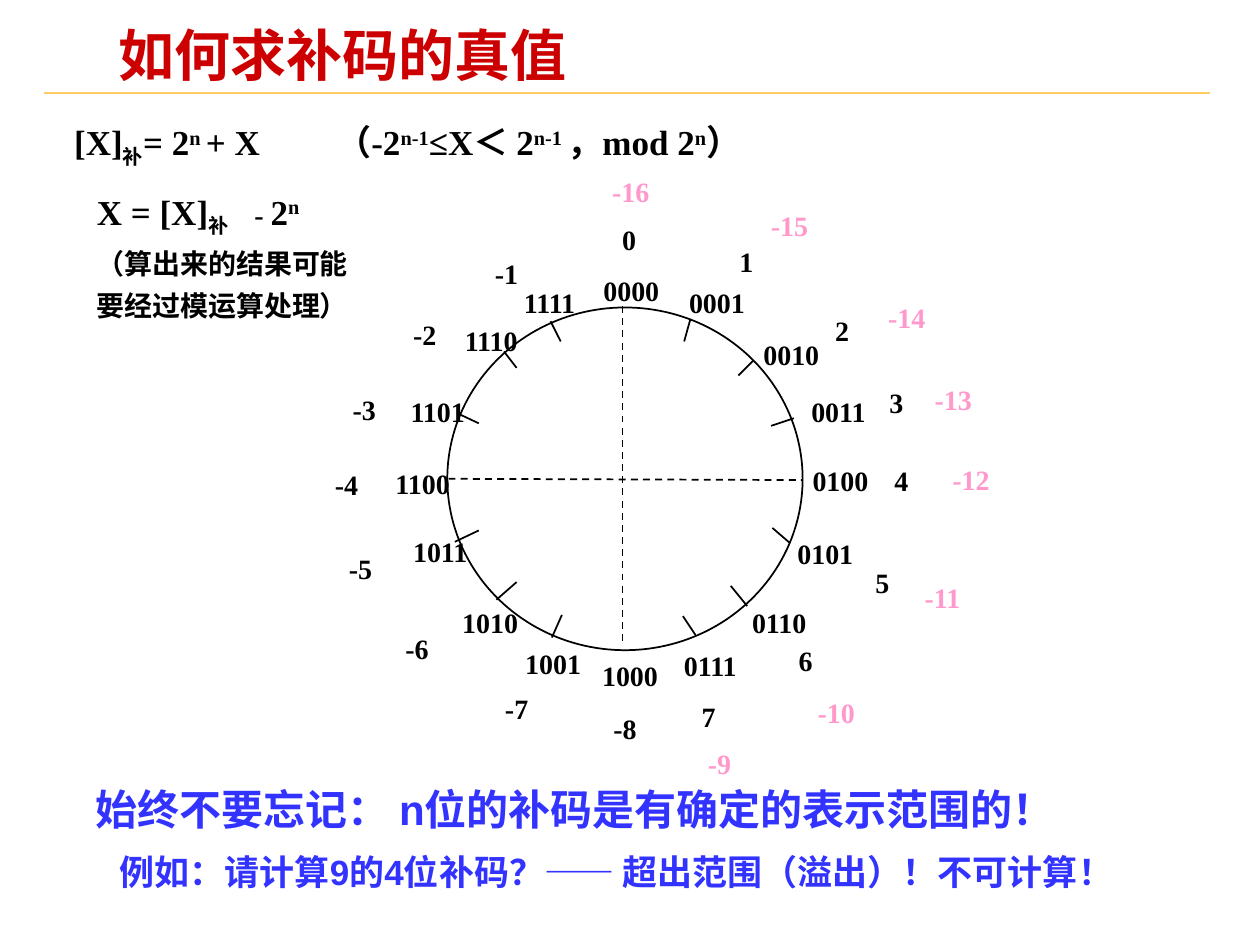
"""Build a slide on recovering the true value of a two's complement code."""
from lxml.etree import SubElement
from pptx import Presentation
from pptx.dml.color import RGBColor
from pptx.enum.dml import MSO_LINE
from pptx.enum.shapes import MSO_CONNECTOR, MSO_SHAPE
from pptx.enum.text import MSO_ANCHOR, MSO_AUTO_SIZE, PP_ALIGN
from pptx.oxml.ns import qn
from pptx.util import Pt

PX = 9144
COLORS = {
    "title": "CC0000",
    "rule": "FFCC66",
    "ink": "000000",
    "alias": "FF99CC",
    "note": "3333FF",
}
SUB, SUP = -25000, 30000


def add_text(box, paragraphs, color, font="Times New Roman"):
    """Add a text box from (size, space before, tab stop, runs) paragraphs."""
    frame = slide.shapes.add_textbox(*(value * PX for value in box)).text_frame
    frame.word_wrap = True
    for index, (size, before, tab, runs) in enumerate(paragraphs):
        paragraph = frame.add_paragraph() if index else frame.paragraphs[0]
        if tab:
            tabs = SubElement(paragraph._p.get_or_add_pPr(), qn("a:tabLst"))
            SubElement(tabs, qn("a:tab"), pos=str(tab * PX), algn="l")
        paragraph.font.size = Pt(size)
        paragraph.font.name = font
        paragraph.font.bold = True
        paragraph.font.color.rgb = RGBColor.from_string(COLORS[color])
        if before:
            paragraph.space_before = Pt(before)
        for text, baseline in runs:
            run = paragraph.add_run()
            run.text = text
            if baseline:
                run._r.get_or_add_rPr().set("baseline", str(baseline))
    return frame


def add_line(ends, color="ink", dashed=False):
    """Add a one-point line between two points."""
    line = slide.shapes.add_connector(
        MSO_CONNECTOR.STRAIGHT, *(value * PX for value in ends))
    line.line.width = Pt(1)
    line.line.color.rgb = RGBColor.from_string(COLORS[color])
    if dashed:
        line.line.dash_style = MSO_LINE.DASH
    SubElement(line._element.spPr, qn("a:effectLst"))


presentation = Presentation()
presentation.slide_width = 1000 * PX
presentation.slide_height = 750 * PX
slide = presentation.slides.add_slide(presentation.slide_layouts[5])

add_line((35, 74, 960, 74), "rule")

title = slide.shapes.title
title.left, title.top, title.width, title.height = (
    value * PX for value in (87, 21, 664, 52))
frame = title.text_frame
frame.text = "如何求补码的真值"
frame.auto_size = MSO_AUTO_SIZE.NONE
frame.vertical_anchor = MSO_ANCHOR.MIDDLE
frame.margin_left = frame.margin_right = 7 * PX
frame.margin_top = frame.margin_bottom = 3 * PX
paragraph = frame.paragraphs[0]
paragraph.alignment = PP_ALIGN.LEFT
paragraph.line_spacing = 0.87
paragraph.font.size = Pt(32)
paragraph.font.name = "Arial"
paragraph.font.bold = True
paragraph.font.color.rgb = RGBColor.from_string(COLORS["title"])

circle = slide.shapes.add_shape(
    MSO_SHAPE.OVAL, *(value * PX for value in (355, 244, 282, 272)))
circle.shadow.inherit = False
circle.fill.background()
circle.line.width = Pt(1)
circle.line.color.rgb = RGBColor.from_string(COLORS["ink"])

for axis in ((356, 380, 637, 381), (494, 243, 494, 513)):
    add_line(axis, dashed=True)

ticks = [
    (543, 271, 548, 253), (586, 298, 598, 286), (612, 338, 630, 332),
    (613, 419, 627, 431), (580, 465, 593, 481), (542, 489, 552, 504),
    (438, 506, 446, 488), (410, 462, 394, 476), (380, 421, 361, 430),
    (380, 336, 363, 328), (400, 279, 410, 292), (437, 255, 445, 271),
]
for tick in ticks:
    add_line(tick)

code_places = {
    0: (469, 212), 1: (537, 222), 2: (596, 263), 3: (634, 308),
    4: (635, 363), 5: (623, 421), 6: (587, 476), 7: (533, 510),
    -8: (468, 518), -7: (407, 508), -6: (357, 476), -5: (318, 419),
    -4: (304, 365), -3: (316, 308), -2: (359, 252), -1: (406, 222),
}
value_places = {
    0: (484, 172), 1: (577, 189), 2: (653, 244), 3: (696, 301),
    4: (700, 363), 5: (685, 444), 6: (624, 506), 7: (547, 550),
    -8: (477, 560), -7: (391, 544), -6: (312, 496), -5: (267, 433),
    -4: (256, 366), -3: (270, 307), -2: (318, 247), -1: (383, 199),
}
alias_places = {
    -16: (476, 134), -15: (602, 161), -14: (695, 234), -13: (732, 299),
    -12: (746, 362), -11: (724, 456), -10: (639, 547), -9: (552, 588),
}
for places, width, pattern, color in (
        (code_places, 65, "04b", "ink"),
        (value_places, 56, "d", "ink"),
        (alias_places, 58, "d", "alias")):
    for value, place in places.items():
        label = format(value % 16 if pattern == "04b" else value, pattern)
        add_text((*place, width, 37), [(16, 0, 0, [(label, 0)])], color)

add_text((66, 617, 798, 50),
         [(24, 0, 0, [("始终不要忘记： n位的补码是有确定的表示范围的！", 0)])],
         "note", "Arial")

add_text((49, 91, 691, 48), [(20, 0, 208, [
    ("[X]", 0), ("补", SUB), ("= 2", 0), ("n ", SUP), ("+ X\t（-2", 0),
    ("n-1", SUP), ("≤X＜ 2", 0), ("n-1 ", SUP), ("，mod 2", 0),
    ("n", SUP), ("）", 0)])], "ink")

inverse = add_text((67, 146, 691, 115), [
    (20, 0, 125, [("X = [X]", 0), ("补", SUB), ("\t- ", 0), ("2", 0), ("n", SUP)]),
    (16, 5, 0, [("（算出来的结果可能", 0)]),
    (16, 5, 0, [("要经过模运算处理）", 0)]),
], "ink")
inverse.paragraphs[0].runs[2].font.size = Pt(16)

add_text((85, 670, 838, 44),
         [(20, 0, 0, [("例如：请计算9的4位补码？—— 超出范围（溢出）！不可计算！", 0)])],
         "note", "Arial")

presentation.save("out.pptx")
